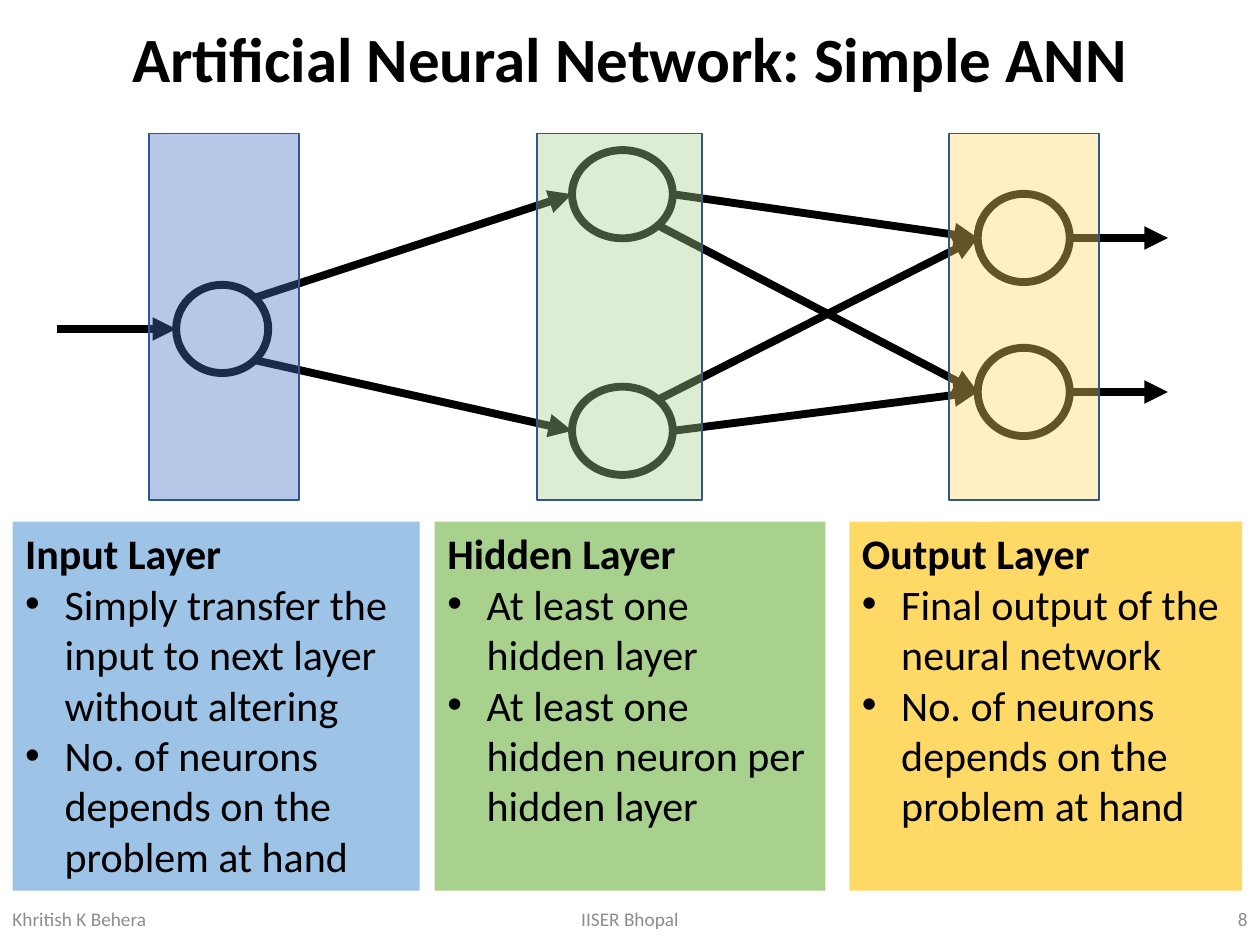
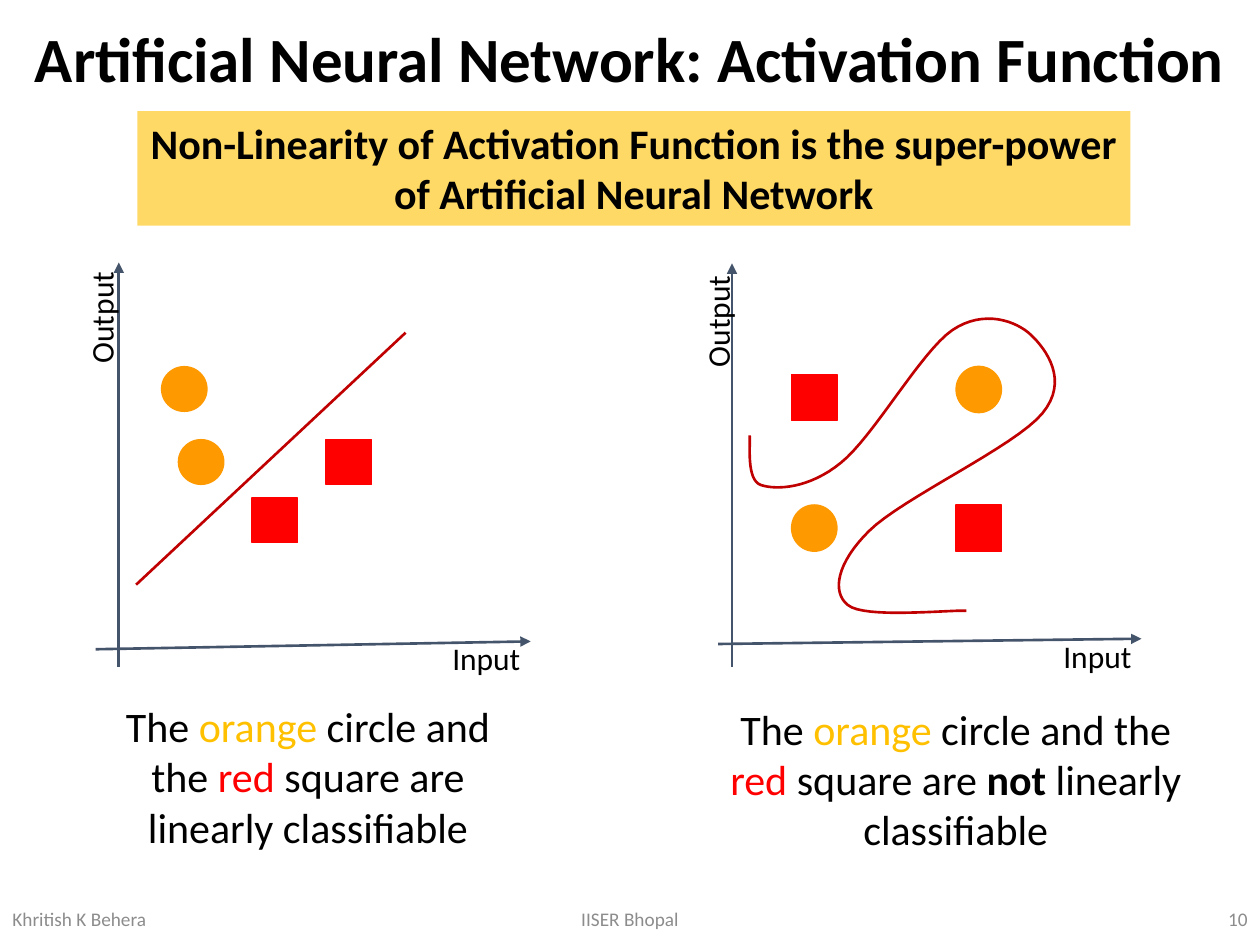
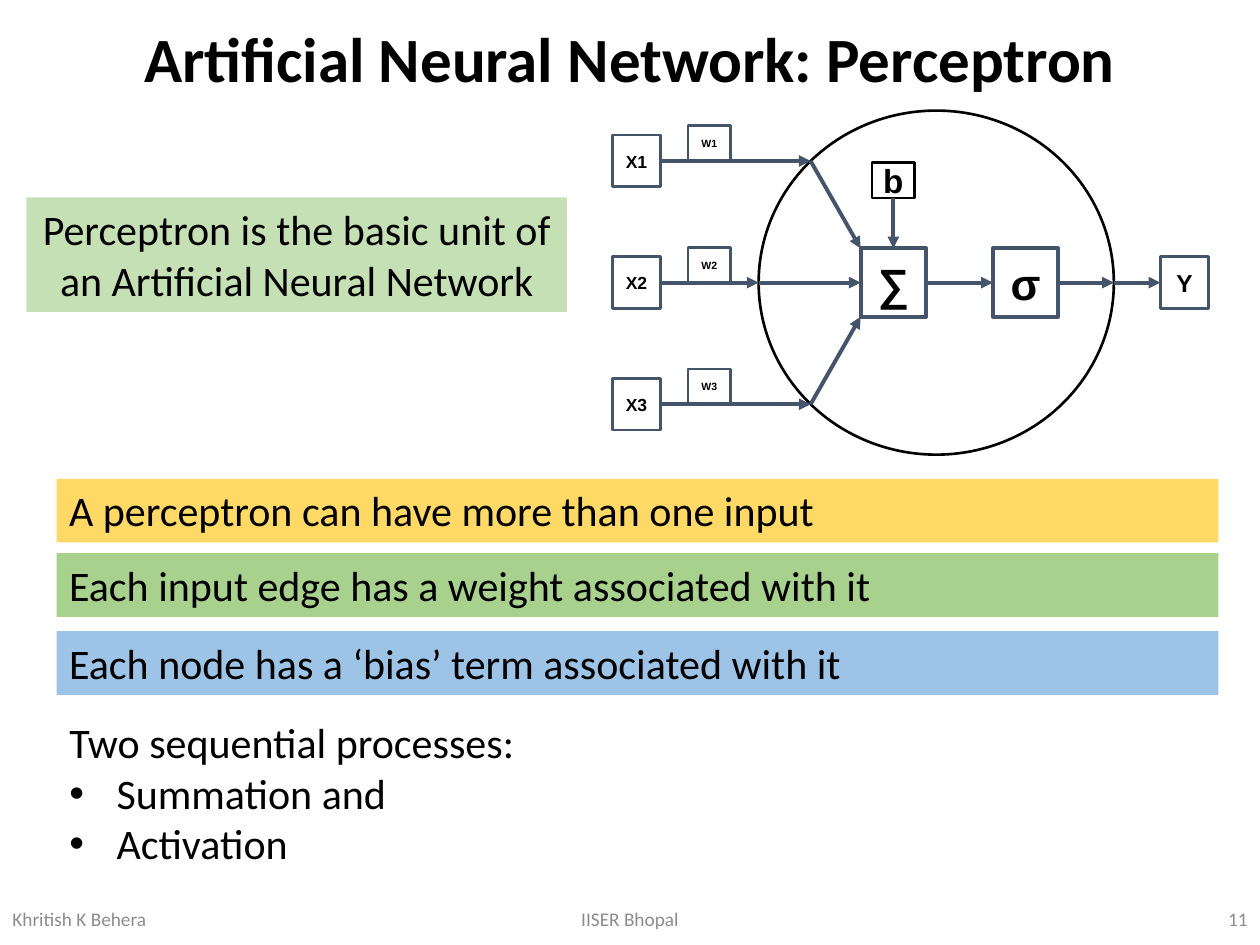
"""Build three slides on artificial neural networks: layers, activation and perceptron."""
from math import cos, radians, sin

from lxml import etree
from pptx import Presentation
from pptx.dml.color import RGBColor
from pptx.enum.shapes import MSO_CONNECTOR, MSO_SHAPE
from pptx.enum.text import MSO_ANCHOR, MSO_AUTO_SIZE, PP_ALIGN
from pptx.oxml.ns import qn
from pptx.util import Pt

RECT, OVAL = MSO_SHAPE.RECTANGLE, MSO_SHAPE.OVAL
LEFT, CENTER, RIGHT, JUSTIFY = PP_ALIGN.LEFT, PP_ALIGN.CENTER, PP_ALIGN.RIGHT, PP_ALIGN.JUSTIFY
TOP, MIDDLE = MSO_ANCHOR.TOP, MSO_ANCHOR.MIDDLE
TITLE_ONLY, TITLE_AND_CONTENT, COMPARISON = 5, 1, 4
SIDE_TOP, SIDE_LEFT, SIDE_BOTTOM, SIDE_RIGHT = range(4)

COLORS = {
    "black": "000000", "white": "FFFFFF", "grey": "8C8C8C", "slate": "44546A",
    "navy": "325491", "royal": "4472C4", "blue": "9DC3E6", "green": "A9D18E",
    "mint": "C5E0B4", "yellow": "FFD966", "amber": "FFC000", "orange": "FF9900",
    "red": "FF0000", "crimson": "C00000",
}
STYLES = {
    "plain": {}, "bold": {"bold": True},
    "orange": {"color": "amber"}, "red": {"color": "red"},
}

FOOTERS = [("Khritish K Behera", 0, 162, LEFT), ("IISER Bhopal", 238.5, 243, CENTER)]
NUMBER_FRAME = (558, 510.5, 162, 28.8)

CARDS = [
    ("blue", 7.2, 232.6, "Input Layer",
     ["Simply transfer the input to next layer without altering",
      "No. of neurons depends on the problem at hand"]),
    ("green", 248.4, 223.2, "Hidden Layer",
     ["At least one hidden layer", "At least one hidden neuron per hidden layer"]),
    ("yellow", 485.3, 224.6, "Output Layer",
     ["Final output of the neural network", "No. of neurons depends on the problem at hand"]),
]
NEURON_HEIGHT = 50.4
NEURONS = {
    "input": (127, 188, 52.6),
    "hidden top": (355.7, 111, 57.6), "hidden bottom": (355.7, 246.2, 57.6),
    "output top": (585, 136, 52.6), "output bottom": (585, 224, 52.6),
}
EDGES = [
    ("input", -45, "hidden top"), ("input", 45, "hidden bottom"),
    ("hidden top", 0, "output top"), ("hidden top", 45, "output bottom"),
    ("hidden bottom", -45, "output top"), ("hidden bottom", 0, "output bottom"),
]
LAYER_BANDS = [("green", 306.9, 94.3), ("royal", 85, 85.7), ("yellow", 542.4, 85.7)]

BANNER = "Non-Linearity of Activation Function is the super-power of Artificial Neural Network"
PLOTS = [
    {"axes": [((67.9, 381), (67.9, 150)), ((54.7, 371), (303.3, 366.5))],
     "marks": [(OVAL, "orange", 92.3, 209.5), (OVAL, "orange", 101.9, 251.2),
               (RECT, "red", 186.2, 251.2), (RECT, "red", 144, 284.6)],
     "mark height": 25.6,
     "input": (244.8, 361.4), "output": (19.4, 167),
     "caption frame": (54.7, 396.7, 242.6, 94.3),
     "caption": [("The ", "plain"), ("orange", "orange"), (" circle and the ", "plain"),
                 ("red", "red"), (" square are linearly classifiable", "plain")]},
    {"axes": [((418.3, 381), (418.3, 150.5)), ((410.4, 368), (652.3, 365))],
     "marks": [(OVAL, "orange", 546.3, 209.3), (OVAL, "orange", 452.3, 288.5),
               (RECT, "red", 452.3, 214), (RECT, "red", 546.3, 288.5)],
     "mark height": 26.5,
     "input": (594, 360.7), "output": (371.5, 169.2),
     "caption frame": (401.8, 398.2, 288.7, 94.3),
     "caption": [("The ", "plain"), ("orange", "orange"), (" circle and the ", "plain"),
                 ("red", "red"), (" square are ", "plain"), ("not", "bold"),
                 (" linearly classifiable", "plain")]},
]
STRAIGHT_BOUNDARY = ((77.8, 334.1), (231.8, 190.1))
CURVE_START = (428.4, 248.8)
CURVE_SEGMENTS = [
    ((429, 253.4), (426.2, 274.3), (434.9, 277.2)),
    ((443.5, 280), (462.2, 279.4), (480.5, 264.5)),
    ((499, 249.8), (526.3, 200.9), (544.3, 188.6)),
    ((562.3, 176.5), (581, 183.5), (589.3, 191.5)),
    ((597.6, 199.4), (611.3, 217.4), (595.7, 236.2)),
    ((580.3, 255), (514.8, 285.1), (496.6, 303.5)),
    ((478.1, 321.8), (475.2, 338.4), (484.6, 345.8)),
    ((494, 353.5), (540.7, 348.6), (552.2, 349)),
]
CURVE_STEPS = 16

DEFINITION = "Perceptron is the basic unit of an Artificial Neural Network"
FACTS = [
    ("yellow", 273.6, JUSTIFY, "A perceptron can have more than one input"),
    ("green", 316.1, LEFT, "Each input edge has a weight associated with it"),
    ("blue", 360.7, LEFT, "Each node has a ‘bias’ term associated with it"),
]
PROCESSES = ("Two sequential processes:", ["Summation and", "Activation"])
BODY_CIRCLE = (535, 161.5, 203, 196.6)
INPUT_ANGLES = [225, 180, 135]


def rgb(name):
    return RGBColor.from_string(COLORS[name])


def points(*values):
    return [Pt(value) for value in values]


def add_bullet(para, indent):
    props = para._p.get_or_add_pPr()
    props.set("marL", str(Pt(indent)))
    props.set("indent", str(-Pt(indent)))
    if indent:
        etree.SubElement(props, qn("a:buFont")).set("typeface", "Arial")
        etree.SubElement(props, qn("a:buChar")).set("char", "•")
    else:
        etree.SubElement(props, qn("a:buNone"))


def write(box, paragraphs, align=LEFT, anchor=TOP, size=24, color="black", bold=False,
          font="Calibri", wrap=True, spacing=1.0):
    frame = box.text_frame
    for name, value in {"word_wrap": wrap, "auto_size": MSO_AUTO_SIZE.NONE,
                        "vertical_anchor": anchor}.items():
        setattr(frame, name, value)
    for index, (spans, indent) in enumerate(paragraphs):
        para = frame.add_paragraph() if index else frame.paragraphs[0]
        for name, value in {"alignment": align, "space_before": Pt(0),
                            "line_spacing": spacing}.items():
            setattr(para, name, value)
        add_bullet(para, indent)
        for text, style in spans:
            span = para.add_run()
            span.text = text
            look = {"color": color, "bold": bold, **STYLES[style]}
            for name, value in {"name": font, "size": Pt(size), "bold": look["bold"]}.items():
                setattr(span.font, name, value)
            span.font.color.rgb = rgb(look["color"])


def write_line(box, text, **look):
    write(box, [([(text, "plain")], 0)], **look)


def write_list(box, heading, items, indent, heading_style="plain"):
    write(box, [([(heading, heading_style)], 0)] + [([(item, "plain")], indent) for item in items])


def place(box, frame):
    for name, value in zip(("left", "top", "width", "height"), points(*frame)):
        setattr(box, name, value)


def paint(box, fill):
    box.fill.solid()
    box.fill.fore_color.rgb = rgb(fill)


def add_box(page, kind, frame, fill=None, line=None, weight=1.0, opacity=None):
    box = page.shapes.add_shape(kind, *points(*frame))
    box.shadow.inherit = False
    if fill:
        paint(box, fill)
    else:
        box.fill.background()
    if opacity:
        color = box.element.spPr.find(qn("a:solidFill")).find(qn("a:srgbClr"))
        etree.SubElement(color, qn("a:alpha")).set("val", str(opacity * 1000))
    if line:
        box.line.color.rgb = rgb(line)
        box.line.width = Pt(weight)
    else:
        box.line.fill.background()
    return box


def add_line(page, start, end, color, weight, arrow=True, begin=None, finish=None):
    line = page.shapes.add_connector(MSO_CONNECTOR.STRAIGHT, *points(*start, *end))
    if begin:
        line.begin_connect(*begin)
    if finish:
        line.end_connect(*finish)
    line.line.color.rgb = rgb(color)
    line.line.width = Pt(weight)
    if arrow:
        etree.SubElement(line.line._get_or_add_ln(), qn("a:tailEnd")).set("type", "triangle")
    etree.SubElement(line._element.spPr, qn("a:effectLst"))


def add_label(page, frame, text, **look):
    box = page.shapes.add_textbox(*points(*frame))
    write_line(box, text, **look)
    return box


def add_page(deck, layout, title, number):
    page = deck.slides.add_slide(deck.slide_layouts[layout])
    place(page.shapes.title, (0, 0.7, 720, 69.1))
    write_line(page.shapes.title, title, align=CENTER, anchor=MIDDLE, size=36, bold=True,
               spacing=0.9)
    _, top, _, height = NUMBER_FRAME
    footer = {"anchor": MIDDLE, "size": 11, "color": "grey"}
    for text, left, width, align in FOOTERS:
        add_label(page, (left, top, width, height), text, align=align, **footer)
    add_label(page, NUMBER_FRAME, str(number), align=RIGHT, **footer)
    return page


def rim(center_x, center_y, width, height, angle):
    turn = radians(angle)
    return center_x + width / 2 * cos(turn), center_y + height / 2 * sin(turn)


def centered(center_x, center_y, width, height):
    return center_x - width / 2, center_y - height / 2, width, height


def build_network(deck):
    page = add_page(deck, COMPARISON, "Artificial Neural Network: Simple ANN", 8)
    ovals = {name: (*neuron, NEURON_HEIGHT) for name, neuron in NEURONS.items()}
    stroke = {"color": "black", "weight": 4.5}
    for oval in ovals.values():
        add_box(page, OVAL, centered(*oval), "white", "black", 4.5)
    for source, angle, target in EDGES:
        add_line(page, rim(*ovals[source], angle), rim(*ovals[target], 180), **stroke)
    for name in ("output top", "output bottom"):
        start = rim(*ovals[name], 0)
        add_line(page, start, (667.4, start[1]), **stroke)
    entry = rim(*ovals["input"], 180)
    add_line(page, (32.4, entry[1]), entry, **stroke)
    for fill, left, width in LAYER_BANDS:
        add_box(page, RECT, (left, 76.3, width, 209.5), fill, "navy", 1, opacity=39)
    bodies = list(page.placeholders)[1:]
    for body, (fill, left, width, heading, items) in zip(bodies, CARDS):
        place(body, (left, 298, width, 211))
        paint(body, fill)
        write_list(body, heading, items, 22.5, "bold")
    for spare in bodies[len(CARDS):]:
        spare.element.getparent().remove(spare.element)


def bezier(start, first, second, end, share):
    rest = 1 - share
    weights = (rest ** 3, 3 * rest ** 2 * share, 3 * rest * share ** 2, share ** 3)
    return [Pt(sum(weight * value for weight, value in zip(weights, values)))
            for values in zip(start, first, second, end)]


def add_curve(page):
    vertices, start = [], CURVE_START
    for segment in CURVE_SEGMENTS:
        vertices += [bezier(start, *segment, step / CURVE_STEPS)
                     for step in range(1, CURVE_STEPS + 1)]
        start = segment[-1]
    builder = page.shapes.build_freeform(*points(*CURVE_START))
    builder.add_line_segments(vertices, close=False)
    curve = builder.convert_to_shape()
    curve.shadow.inherit = False
    curve.fill.background()
    curve.line.color.rgb = rgb("crimson")
    curve.line.width = Pt(1.5)


def build_activation(deck):
    page = add_page(deck, TITLE_ONLY, "Artificial Neural Network: Activation Function", 10)
    banner = add_box(page, RECT, (78.5, 63.5, 567.4, 65.4), "yellow")
    write_line(banner, BANNER, align=CENTER, bold=True)
    for plot in PLOTS:
        for start, end in plot["axes"]:
            add_line(page, start, end, "slate", 1.5)
        for kind, color, left, top in plot["marks"]:
            add_box(page, kind, (left, top, 26, plot["mark height"]), color, color, 0.75)
        caption = page.shapes.add_textbox(*points(*plot["caption frame"]))
        write(caption, [(plot["caption"], 0)], align=CENTER)
        add_label(page, (*plot["input"], 66.2, 29), "Input", align=CENTER, size=18)
        output = add_label(page, (*plot["output"], 77, 29), "Output", align=CENTER, size=18)
        output.rotation = 270
    add_line(page, *STRAIGHT_BOUNDARY, "crimson", 1.5, arrow=False)
    add_curve(page)


def add_node(page, center, size, text, font_size, line="slate", weight=1.5):
    box = add_box(page, RECT, centered(*center, *size), None, line, weight)
    for side in ("left", "top", "right", "bottom"):
        setattr(box.text_frame, f"margin_{side}", 0)
    write_line(box, text, align=CENTER, anchor=MIDDLE, size=font_size, bold=True,
               font="Arial", wrap=False)
    return box


def build_perceptron(deck):
    page = add_page(deck, TITLE_AND_CONTENT, "Artificial Neural Network: Perceptron", 11)
    stroke = {"color": "slate", "weight": 2.25}
    middle = BODY_CIRCLE[1]
    port, weight_size, core = (27.4, 29.5), (24.5, 20.2), (37.4, 39)
    add_box(page, OVAL, centered(*BODY_CIRCLE), "white", "black", 1.5)

    total = add_node(page, (510.5, middle), core, "∑", 25, weight=2.25)
    sigma = add_node(page, (586, middle), core, "σ", 25, weight=2.25)
    bias = add_node(page, (510.5, 103), weight_size, "b", 19, line="black")
    result = add_node(page, (676.8, middle), port, "Y", 14)

    total_left = 510.5 - core[0] / 2
    for number, angle in enumerate(INPUT_ANGLES, 1):
        entry = rim(*BODY_CIRCLE, angle)
        row = entry[1]
        source = add_node(page, (363.7, row), port, f"X{number}", 10)
        add_node(page, (405.4, row - weight_size[1] / 2), weight_size, f"W{number}", 6)
        add_line(page, (377.4, row), entry, begin=(source, SIDE_RIGHT), **stroke)
        corner = (total_left, middle + (number - 2) * core[1] / 2)
        joined = (total, SIDE_LEFT) if number == 2 else None
        add_line(page, entry, corner, finish=joined, **stroke)

    leave = rim(*BODY_CIRCLE, 0)
    add_line(page, leave, leave, begin=(total, SIDE_RIGHT), finish=(sigma, SIDE_LEFT), **stroke)
    add_line(page, leave, leave, begin=(bias, SIDE_BOTTOM), finish=(total, SIDE_TOP), **stroke)
    add_line(page, leave, leave, begin=(sigma, SIDE_RIGHT), **stroke)
    add_line(page, leave, leave, finish=(result, SIDE_LEFT), **stroke)

    for fill, top, align, text in FACTS:
        write_line(add_box(page, RECT, (32.4, top, 663.8, 36.4), fill), text, align=align)
    body = page.placeholders[1]
    place(body, (32.4, 406.1, 368.6, 94.3))
    write_list(body, *PROCESSES, 27)
    definition = add_box(page, RECT, (15.1, 112.8, 308.9, 65.4), "mint")
    write_line(definition, DEFINITION, align=CENTER)


def main():
    deck = Presentation()
    deck.slide_width, deck.slide_height = points(720, 540)
    build_network(deck)
    build_activation(deck)
    build_perceptron(deck)
    deck.save("out.pptx")


if __name__ == "__main__":
    main()
